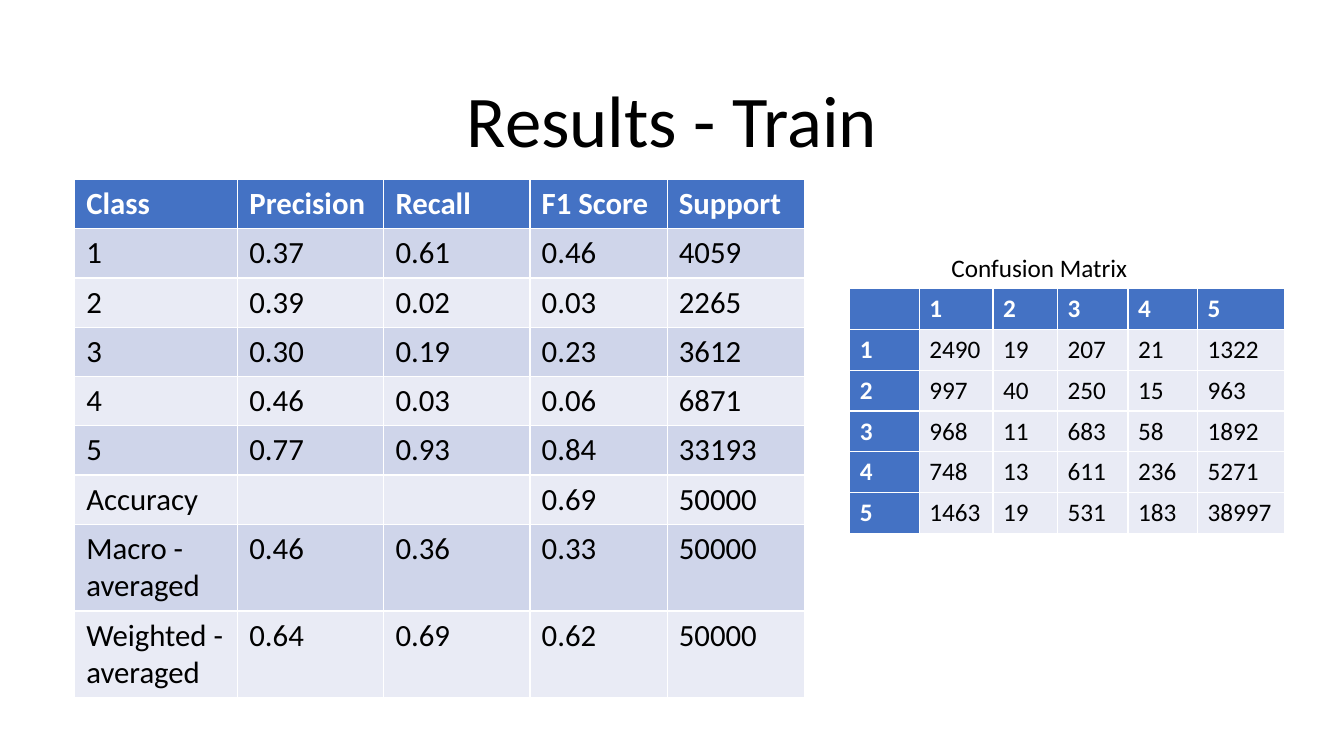
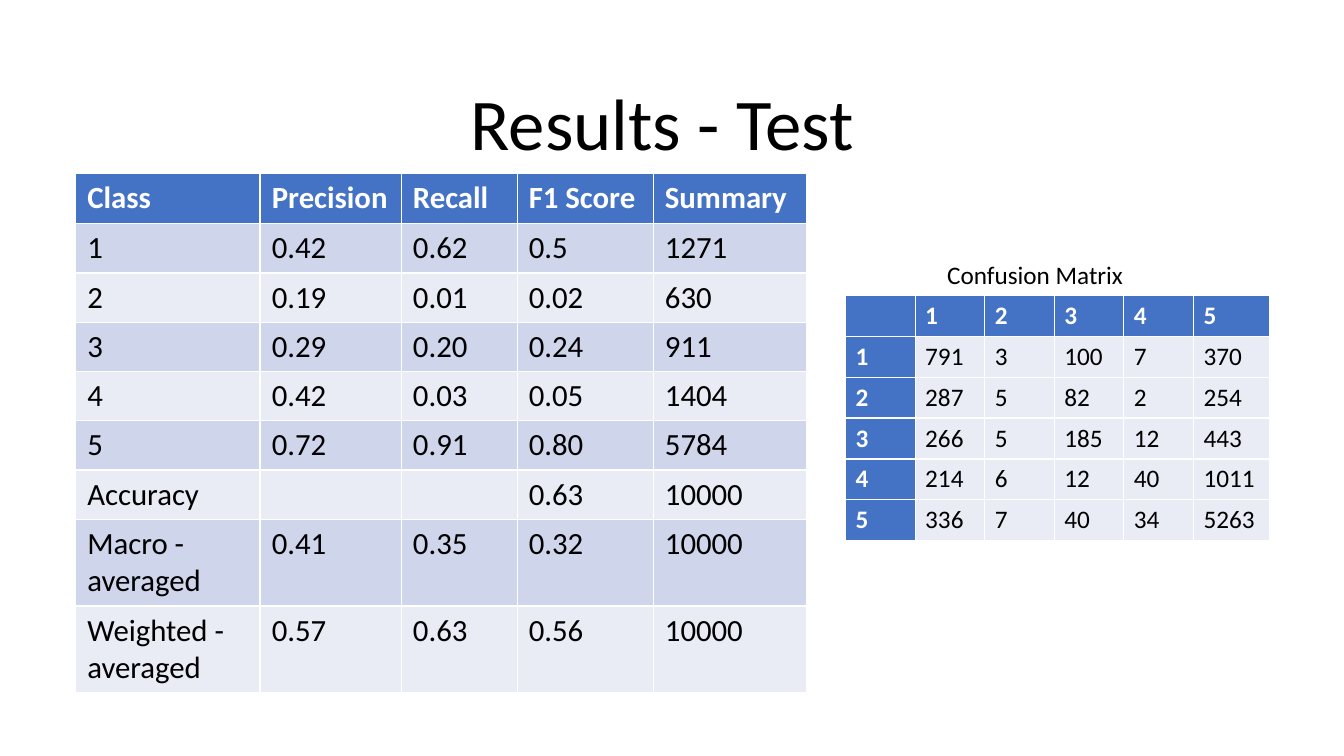
from dataclasses import dataclass

from pptx import Presentation
from pptx.dml.color import RGBColor
from pptx.enum import text
from pptx.util import Pt


@dataclass(frozen=True)
class Theme:
    """Colours, font and type sizes shared by the slides."""
    font: str = "Calibri"
    ink: str = "000000"
    header_ink: str = "FFFFFF"
    header: str = "4472C4"
    band_dark: str = "CFD5EA"
    band_light: str = "E9EBF5"
    title: int = 52
    scores: int = 22
    matrix: int = 18


T = Theme()


def style(tf, size, color=T.ink, bold=False):
    """Format every run of a text frame."""
    for p in tf.paragraphs:
        for r in p.runs:
            r.font.name = T.font
            r.font.size = Pt(size)
            r.font.bold = bold
            r.font.color.rgb = RGBColor.from_string(color)


def add_grid(s, left, top, widths, heights, rows, size, bands, insets, label_column=False):
    """Add a table with a header row, cycling row bands and optional header column."""
    sp = s.shapes.add_table(len(rows), len(widths), Pt(left), Pt(top),
                            Pt(sum(widths)), Pt(sum(heights)))
    table = sp.table
    table.first_col = label_column
    for column, width in zip(table.columns, widths):
        column.width = Pt(width)
    for i, (row, height) in enumerate(zip(rows, heights)):
        table.rows[i].height = Pt(height)
        for j, value in enumerate(row):
            cell = table.cell(i, j)
            is_header = i == 0 or (label_column and j == 0)
            fill = T.header if is_header else bands[(i - 1) % len(bands)]
            cell.fill.solid()
            cell.fill.fore_color.rgb = RGBColor.from_string(fill)
            cell.margin_left = cell.margin_right = Pt(insets[0])
            cell.margin_top = cell.margin_bottom = Pt(insets[1])
            cell.text_frame.text = value
            style(cell.text_frame, size, T.header_ink if is_header else T.ink, is_header)


SCORE_LABELS = ["1", "2", "3", "4", "5", "Accuracy", "Macro - averaged", "Weighted - averaged"]
CLASSES = SCORE_LABELS[:5]

results = [
    dict(
        title="Results - Train", title_at=(66, 44),
        scores_at=(53.3, 128.2), score_widths=[116.5, 104.4, 104.4, 98, 98],
        score_heights=[34] * 7 + [55] * 2, last_heading="Support",
        scores=[
            ["0.37", "0.61", "0.46", "4059"],
            ["0.39", "0.02", "0.03", "2265"],
            ["0.30", "0.19", "0.23", "3612"],
            ["0.46", "0.03", "0.06", "6871"],
            ["0.77", "0.93", "0.84", "33193"],
            ["", "", "0.69", "50000"],
            ["0.46", "0.36", "0.33", "50000"],
            ["0.64", "0.69", "0.62", "50000"],
        ],
        matrix_at=(607, 206), matrix_widths=[49.7, 52.6, 46.1, 50.4, 49.7, 61.9],
        matrix=[
            [2490, 19, 207, 21, 1322],
            [997, 40, 250, 15, 963],
            [968, 11, 683, 58, 1892],
            [748, 13, 611, 236, 5271],
            [1463, 19, 531, 183, 38997],
        ],
    ),
    dict(
        title="Results - Test", title_at=(59, 46),
        scores_at=(54, 123.8), score_widths=[131.8, 100.8, 82.8, 97.2, 109.4],
        score_heights=[36] + [34] * 6 + [59] * 2, last_heading="Summary",
        scores=[
            ["0.42", "0.62", "0.5", "1271"],
            ["0.19", "0.01", "0.02", "630"],
            ["0.29", "0.20", "0.24", "911"],
            ["0.42", "0.03", "0.05", "1404"],
            ["0.72", "0.91", "0.80", "5784"],
            ["", "", "0.63", "10000"],
            ["0.41", "0.35", "0.32", "10000"],
            ["0.57", "0.63", "0.56", "10000"],
        ],
        matrix_at=(604, 211), matrix_widths=[49.7] * 5 + [54.2],
        matrix=[
            [791, 3, 100, 7, 370],
            [287, 5, 82, 2, 254],
            [266, 5, 185, 12, 443],
            [214, 6, 12, 40, 1011],
            [336, 7, 40, 34, 5263],
        ],
    ),
]

prs = Presentation()
prs.slide_width, prs.slide_height = Pt(960), Pt(540)
title_only = prs.slide_layouts[5]

for result in results:
    s = prs.slides.add_slide(title_only)

    title = s.shapes.title
    title.left, title.top = (Pt(v) for v in result["title_at"])
    title.width, title.height = Pt(828), Pt(89.3)
    tf = title.text_frame
    tf.text = result["title"]
    tf.vertical_anchor = text.MSO_ANCHOR.MIDDLE
    tf.paragraphs[0].alignment = text.PP_ALIGN.CENTER
    tf.paragraphs[0].line_spacing = 0.9
    style(tf, T.title)

    headings = ["Class", "Precision", "Recall", "F1 Score", result["last_heading"]]
    score_rows = [headings] + [[label] + row for label, row in zip(SCORE_LABELS, result["scores"])]
    add_grid(s, *result["scores_at"], result["score_widths"], result["score_heights"],
             score_rows, T.scores, [T.band_dark, T.band_light], (8.4, 4.2))

    matrix_rows = [[""] + CLASSES] + [[label] + [str(n) for n in row]
                                      for label, row in zip(CLASSES, result["matrix"])]
    left, top = result["matrix_at"]
    add_grid(s, left, top, result["matrix_widths"], [29.2] * 6,
             matrix_rows, T.matrix, [T.band_light], (7.2, 3.6), label_column=True)

    caption = s.shapes.add_textbox(Pt(left + 65.5), Pt(top - 29), Pt(151.2), Pt(29))
    tf = caption.text_frame
    tf.word_wrap = True
    tf.auto_size = text.MSO_AUTO_SIZE.SHAPE_TO_FIT_TEXT
    tf.text = "Confusion Matrix"
    style(tf, T.matrix)

prs.save("out.pptx")
